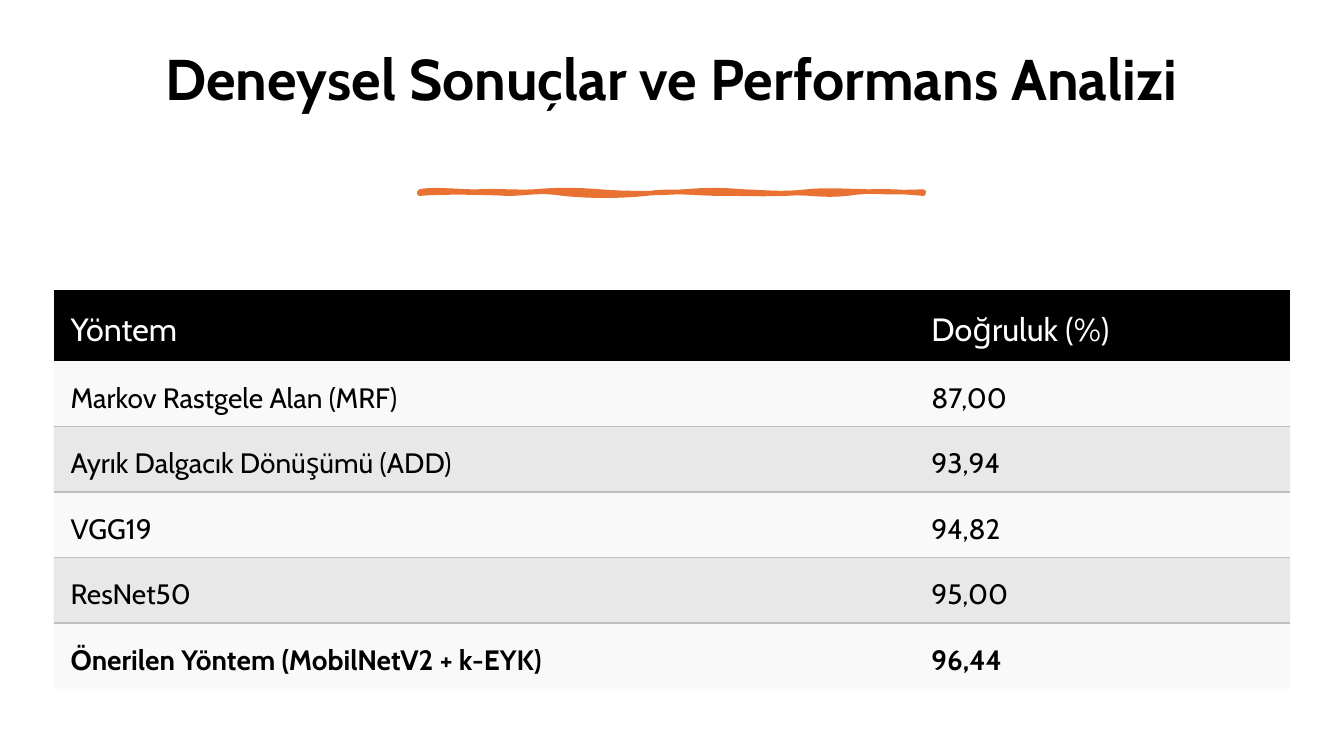
from lxml.etree import SubElement
from pptx import Presentation
from pptx.dml.color import RGBColor
from pptx.enum.text import MSO_ANCHOR, PP_ALIGN
from pptx.oxml import parse_xml
from pptx.oxml.ns import nsdecls, qn
from pptx.util import Cm, Pt


def color(hex_string):
    return RGBColor.from_string(hex_string)


def format_text(paragraph, size, hex_string, bold=False):
    for run in paragraph.runs:
        run.font.name = "Cabin"
        run.font.size = Pt(size)
        run.font.bold = bold
        run.font.color.rgb = color(hex_string)


presentation = Presentation()
presentation.slide_width = Cm(33.87)
presentation.slide_height = Cm(19.05)
slide = presentation.slides.add_slide(presentation.slide_layouts[6])

title = slide.shapes.add_textbox(Cm(1.78), Cm(1.17), Cm(30.3), Cm(3.48))
title.text_frame.word_wrap = True
title.text_frame.vertical_anchor = MSO_ANCHOR.TOP
title.text_frame.text = "Deneysel Sonuçlar ve Performans Analizi"
paragraph = title.text_frame.paragraphs[0]
paragraph.alignment = PP_ALIGN.CENTER
paragraph.line_spacing = 0.9
format_text(paragraph, 41, "000000", bold=True)

stroke_start = (10.57, 4.83)
stroke_curves = [
    ((10.87, 4.75), (11.53, 4.83), (12.01, 4.83)),
    ((12.5, 4.8), (12.93, 4.85), (13.44, 4.83)),
    ((13.94, 4.78), (14.58, 4.78), (15.14, 4.83)),
    ((15.67, 4.88), (16.59, 4.88), (17.2, 4.83)),
    ((17.83, 4.78), (18.14, 4.78), (18.77, 4.83)),
    ((19.38, 4.85), (19.66, 4.9), (20.32, 4.83)),
    ((20.98, 4.75), (22.02, 4.88), (23.27, 4.83)),
    ((23.29, 4.85), (23.27, 4.85), (23.27, 4.88)),
    ((22.73, 4.83), (21.97, 4.78), (21.34, 4.88)),
    ((20.7, 4.95), (20.35, 4.83), (19.79, 4.88)),
    ((19.2, 4.9), (18.97, 4.88), (18.21, 4.88)),
    ((17.45, 4.88), (16.94, 4.78), (16.28, 4.88)),
    ((15.6, 4.95), (14.86, 4.95), (14.2, 4.88)),
    ((13.56, 4.78), (13.28, 4.88), (12.78, 4.88)),
    ((12.27, 4.85), (11.13, 4.83), (10.57, 4.88)),
]
steps = 8
points = []
start = stroke_start
for first, second, end in stroke_curves:
    for step in range(1, steps + 1):
        t = step / steps
        weights = ((1 - t) ** 3, 3 * t * (1 - t) ** 2, 3 * t ** 2 * (1 - t), t ** 3)
        anchors = (start, first, second, end)
        x, y = (sum(w * anchor[axis] for w, anchor in zip(weights, anchors)) for axis in (0, 1))
        points.append((Cm(x), Cm(y)))
    start = end

builder = slide.shapes.build_freeform(Cm(stroke_start[0]), Cm(stroke_start[1]))
builder.add_line_segments(points, close=True)
underline = builder.convert_to_shape()
underline.shadow.inherit = False
underline.fill.solid()
underline.fill.fore_color.rgb = color("E97132")
underline.line.color.rgb = color("E97132")
underline.line.width = Pt(3.25)

rows = [
    ("Yöntem", "Doğruluk (%)"),
    ("Markov Rastgele Alan (MRF)", "87,00"),
    ("Ayrık Dalgacık Dönüşümü (ADD)", "93,94"),
    ("VGG19", "94,82"),
    ("ResNet50", "95,00"),
    ("Önerilen Yöntem (MobilNetV2 + k-EYK)", "96,44"),
]
last_row = len(rows) - 1
graphic_frame = slide.shapes.add_table(len(rows), 2, Cm(1.35), Cm(7.32), Cm(31.16), Cm(10.03))
table = graphic_frame.table
table.horz_banding = False
no_grid_style = "{2D5ABB26-0587-4C30-8999-92F81FD0307C}"
graphic_frame.element.find(".//" + qn("a:tableStyleId")).text = no_grid_style
table.columns[0].width = Cm(21.69)
table.columns[1].width = Cm(9.47)

for row_index, texts in enumerate(rows):
    is_header = row_index == 0
    is_shaded = not is_header and row_index % 2 == 0
    table.rows[row_index].height = Cm(1.78 if is_header else 1.65)
    if is_header:
        fill_color, opacity = "000000", 100
    elif is_shaded:
        fill_color, opacity = "BFBFBF", 35
    else:
        fill_color, opacity = "F2F2F2", 45

    for column_index, text in enumerate(texts):
        cell = table.cell(row_index, column_index)
        cell.vertical_anchor = MSO_ANCHOR.MIDDLE
        cell.margin_left = cell.margin_right = cell.margin_top = Cm(0.43)
        cell.margin_bottom = Cm(0.21)
        cell.text_frame.text = text
        format_text(
            cell.text_frame.paragraphs[0],
            23 if is_header else 20,
            "FFFFFF" if is_header else "000000",
            bold=row_index == last_row,
        )
        cell.fill.solid()
        cell.fill.fore_color.rgb = color(fill_color)
        properties = cell._tc.get_or_add_tcPr()
        if not is_header:
            fill_element = properties.find(".//" + qn("a:srgbClr"))
            SubElement(fill_element, qn("a:alpha")).set("val", str(opacity * 1000))
        if 0 < row_index < last_row:
            edge = "lnT" if is_shaded else "lnB"
            border = parse_xml(
                f'<a:{edge} {nsdecls("a")} w="{Pt(1)}"><a:solidFill>'
                f'<a:srgbClr val="BFBFBF"/></a:solidFill></a:{edge}>'
            )
            properties.insert(0, border)

presentation.save("out.pptx")
